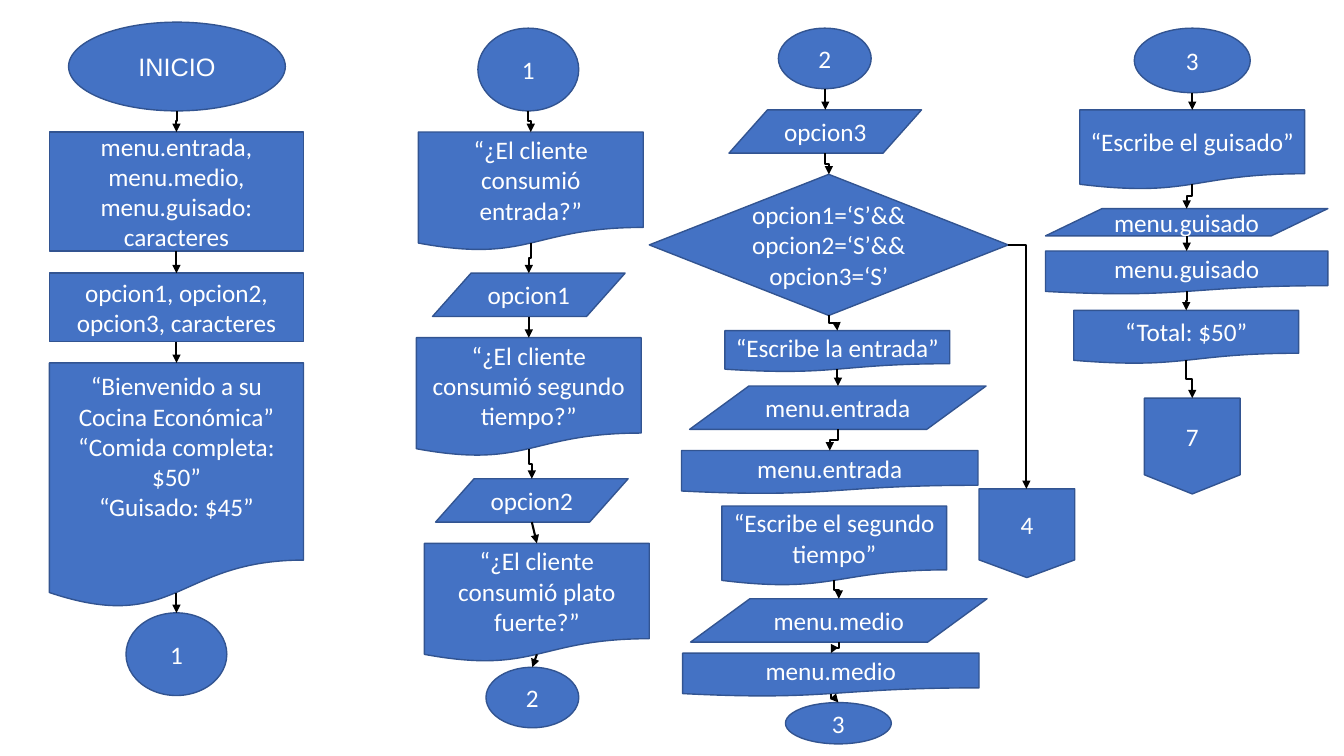
from lxml import etree
from pptx import Presentation
from pptx.dml.color import RGBColor
from pptx.enum import shapes, text
from pptx.oxml import ns
from pptx.util import Inches, Pt

rgb = RGBColor.from_string
BLUE, OUTLINE, WHITE, BLACK = "4472C4", "325491", "FFFFFF", "000000"
KIND = shapes.MSO_SHAPE
START, DECLARE, PRINT = KIND.OVAL, KIND.RECTANGLE, KIND.FLOWCHART_DOCUMENT
READ, LINK, DECIDE = KIND.FLOWCHART_DATA, KIND.FLOWCHART_CONNECTOR, KIND.FLOWCHART_DECISION
OFFPAGE = KIND.FLOWCHART_OFFPAGE_CONNECTOR
CURVE = 0.934  # height share at which the wavy edge of a document is met


def write(frame, words, font="Calibri", size=18, color=WHITE, bottom=0.05):
    frame.word_wrap = True
    frame.vertical_anchor = text.MSO_ANCHOR.MIDDLE
    frame.margin_bottom = Inches(bottom)
    frame.text = words
    for paragraph in frame.paragraphs:
        paragraph.alignment = text.PP_ALIGN.CENTER
        paragraph.font.name = font
        paragraph.font.size = Pt(size)
        paragraph.font.color.rgb = rgb(color)


def add_arrow(start, end, route="down"):
    (x1, y1), (x2, y2) = start, end
    elbow = shapes.MSO_CONNECTOR.ELBOW
    if route == "down":
        # A downward elbow is a sideways one turned about its centre
        mid_x, mid_y = (x1 + x2) / 2, (y1 + y2) / 2
        half_run, half_rise = (y2 - y1) / 2, abs(x2 - x1) / 2
        side = 1 if x2 > x1 else -1
        arrow = slide.shapes.add_connector(
            elbow, Inches(mid_x + side * half_run), Inches(mid_y - half_rise),
            Inches(mid_x - side * half_run), Inches(mid_y + half_rise))
        turn = 270 if side > 0 else 90
        arrow._element.spPr.find(ns.qn("a:xfrm")).set("rot", str(turn * 60000))
    else:
        style = shapes.MSO_CONNECTOR.STRAIGHT if route == "straight" else elbow
        arrow = slide.shapes.add_connector(
            style, Inches(x1), Inches(y1), Inches(x2), Inches(y2))
    properties = arrow._element.spPr
    if route == "corner":
        properties.find(ns.qn("a:prstGeom")).set("prst", "bentConnector2")
    arrow.line.color.rgb = rgb(BLACK)
    arrow.line.width = Pt(1.5)
    etree.SubElement(properties.find(ns.qn("a:ln")), ns.qn("a:tailEnd"), type="triangle")
    etree.SubElement(properties, ns.qn("a:effectLst"))


deck = Presentation()
deck.slide_width, deck.slide_height = Inches(13.33), Inches(7.5)
slide = deck.slides.add_slide(deck.slide_layouts[6])

# Each flow runs downwards: kind, left, top, width, height, words
flows = [
    # Start and declarations
    [(START, 0.68, 0.22, 2.15, 0.88, "INICIO"),
     (DECLARE, 0.49, 1.31, 2.52, 1.18, "menu.entrada, menu.medio, menu.guisado: caracteres"),
     (DECLARE, 0.49, 2.71, 2.52, 0.68, "opcion1, opcion2, opcion3, caracteres"),
     (PRINT, 0.49, 3.6, 2.52, 2.44,
      "“Bienvenido a su Cocina Económica”\n“Comida completa: $50”\n“Guisado: $45”"),
     (LINK, 1.25, 6.08, 1, 0.82, "1")],
    # Questions to the customer
    [(LINK, 4.74, 0.28, 1, 0.82, "1"),
     (PRINT, 4.15, 1.31, 2.23, 1.18, "“¿El cliente consumió entrada?”"),
     (READ, 4.29, 2.71, 1.91, 0.43, "opcion1"),
     (PRINT, 4.13, 3.35, 2.23, 1.18, "“¿El cliente consumió segundo tiempo?”"),
     (READ, 4.32, 4.75, 1.91, 0.43, "opcion2"),
     (PRINT, 4.21, 5.39, 2.23, 1.18, "“¿El cliente consumió plato fuerte?”"),
     (LINK, 4.82, 6.62, 0.92, 0.6, "2")],
    # Decision and starter
    [(LINK, 7.72, 0.28, 0.92, 0.6, "2"),
     (READ, 7.23, 1.09, 1.91, 0.43, "opcion3"),
     (DECIDE, 6.44, 1.73, 3.56, 1.4, "opcion1=‘S’&&opcion2=‘S’&&opcion3=‘S’"),
     (PRINT, 7.19, 3.28, 2.23, 0.41, "“Escribe la entrada”"),
     (READ, 6.84, 3.83, 2.94, 0.43, "menu.entrada"),
     (PRINT, 6.76, 4.47, 2.94, 0.43, "menu.entrada")],
    # Second course
    [(PRINT, 7.16, 5.02, 2.23, 0.79, "“Escribe el segundo tiempo”"),
     (READ, 6.85, 5.94, 2.94, 0.43, "menu.medio"),
     (PRINT, 6.77, 6.48, 2.94, 0.43, "menu.medio"),
     (LINK, 7.79, 6.97, 1.05, 0.41, "3")],
    # Main dish and total
    [(LINK, 11.25, 0.28, 1.15, 0.64, "3"),
     (PRINT, 10.71, 1.09, 2.23, 0.79, "“Escribe el guisado”"),
     (READ, 10.37, 2.07, 2.8, 0.27, "menu.guisado"),
     (PRINT, 10.37, 2.49, 2.8, 0.43, "menu.guisado"),
     (PRINT, 10.65, 3.08, 2.23, 0.53, "“Total: $50”"),
     (OFFPAGE, 11.35, 3.95, 0.95, 0.95, "7")],
    # Exit of the decision
    [(OFFPAGE, 9.71, 4.85, 0.95, 0.88, "4")],
]
straight_targets = {"“¿El cliente consumió plato fuerte?”", "2"}

# Steps
for flow in flows:
    for kind, left, top, width, height, words in flow:
        step = slide.shapes.add_shape(
            kind, Inches(left), Inches(top), Inches(width), Inches(height))
        step.shadow.inherit = False
        step.fill.solid()
        step.fill.fore_color.rgb = rgb(BLUE)
        step.line.color.rgb = rgb(OUTLINE)
        step.line.width = Pt(1)
        write(step.text_frame, words,
              font="Arial" if kind == START else "Calibri",
              bottom=0.35 if "\n" in words else 0.05)

# Arrows from each step to the next
for flow in flows:
    for upper, lower in zip(flow, flow[1:]):
        kind, left, top, width, height, _ = upper
        exit_height = height * CURVE if kind == PRINT else height
        add_arrow((left + width / 2, top + exit_height),
                  (lower[1] + lower[3] / 2, lower[2]),
                  route="straight" if lower[5] in straight_targets else "down")

# Arrow from the decision to its exit
add_arrow((10, 2.43), (10.18, 4.85), route="corner")

deck.save("out.pptx")
